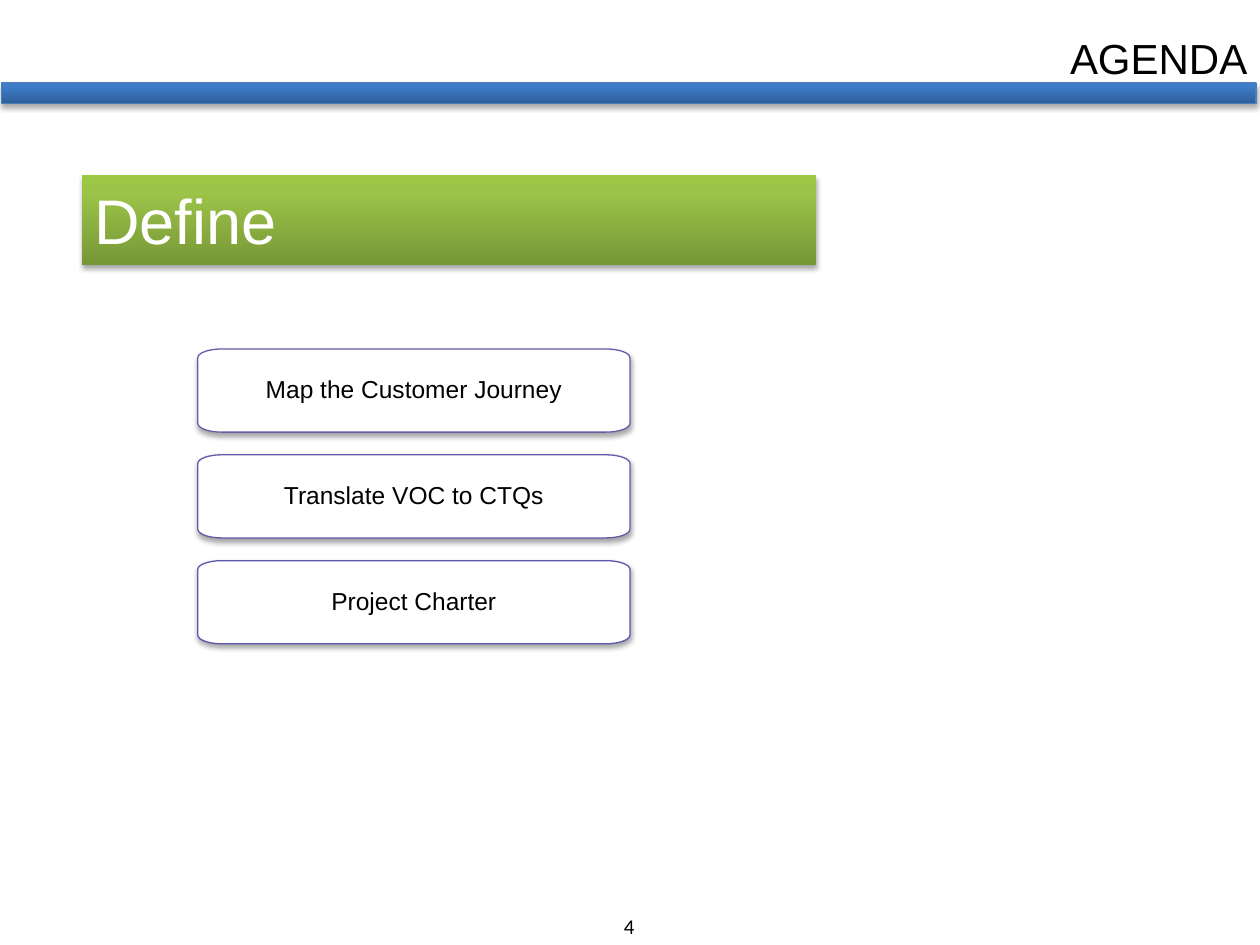
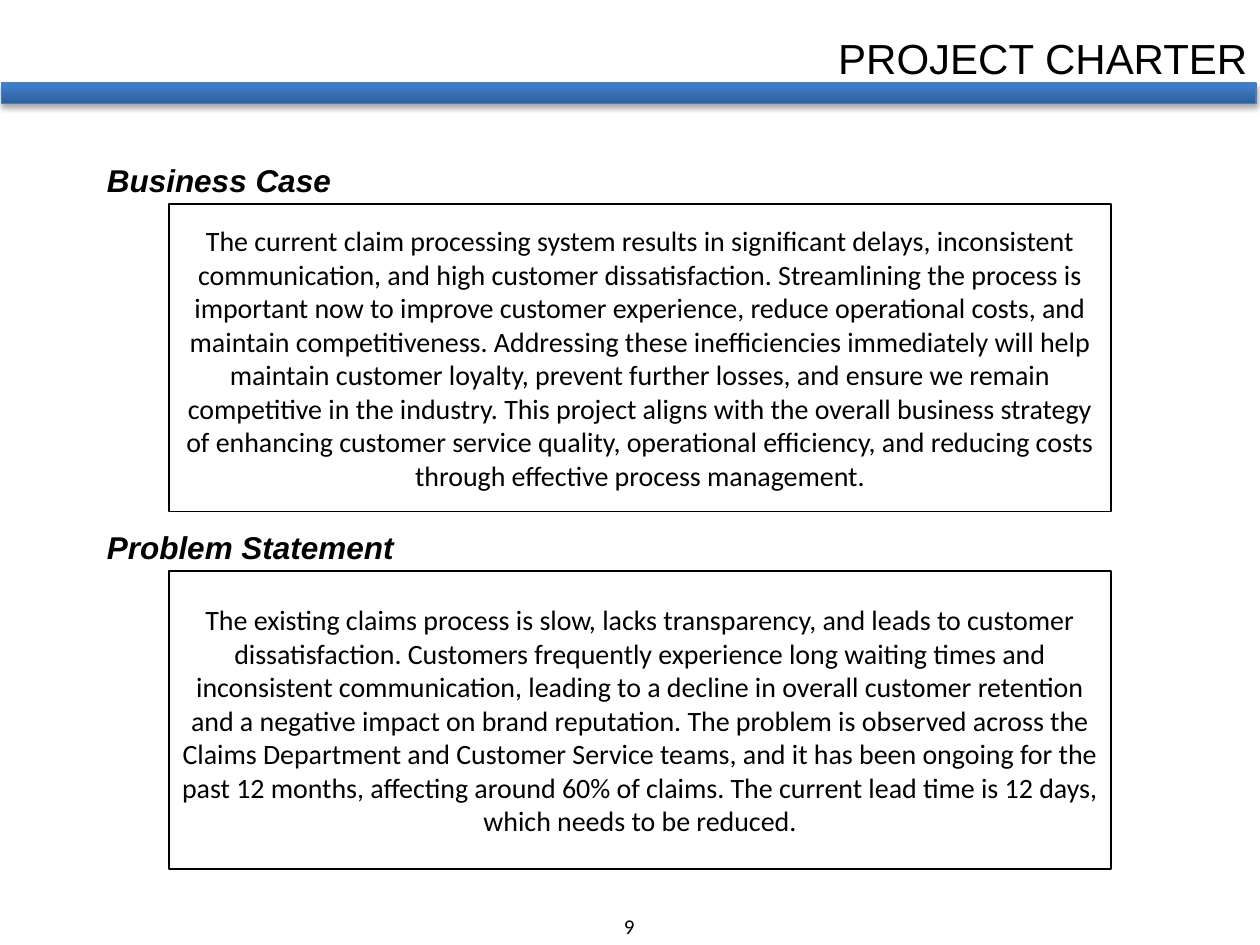
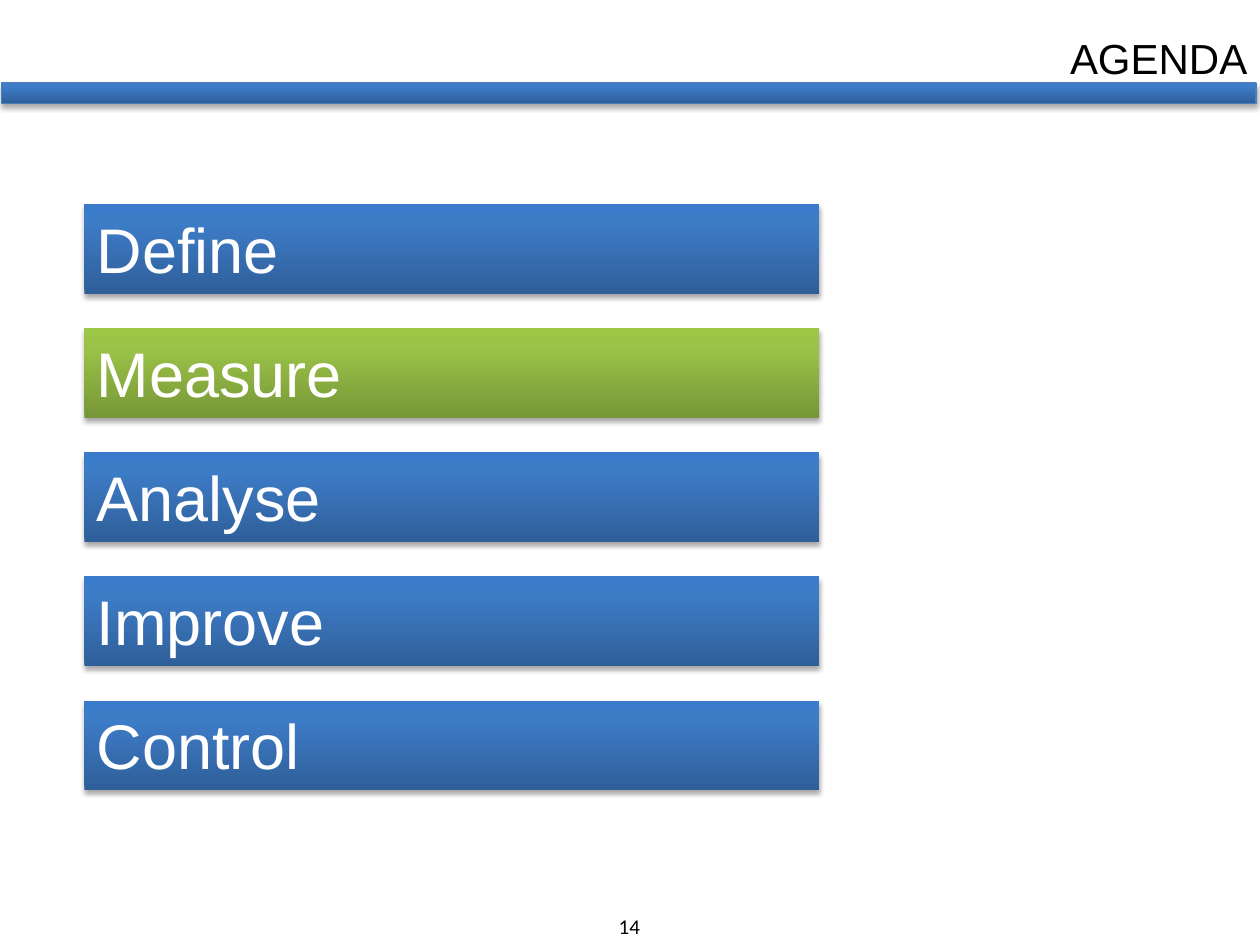
from copy import deepcopy

from lxml.etree import SubElement
from pptx import Presentation
from pptx.dml.color import RGBColor
from pptx.enum.shapes import MSO_SHAPE as Preset
from pptx.enum.text import MSO_ANCHOR as Anchor, MSO_AUTO_SIZE as AutoSize, PP_ALIGN as Align
from pptx.oxml.ns import qn
from pptx.util import Inches, Pt

COLORS = {"text": "000000", "white": "FFFFFF", "band_line": "4B7EBC"}
GRADIENTS = {
    "blue": [(0, "2F5F99"), (0.8, "3D7CC7"), (1, "3A7CCB")],
    "green": [(0, "779737"), (0.8, "9BC348"), (1, "9DC746")],
}
TITLE_FONT = "Arial"
BODY_FONT = "Calibri"
TITLE_ONLY = 5
ARC_PULL = 0.55

STAGES = ["Define", "Measure", "Analyse", "Improve", "Control"]
FIRST_STAGE_TOP, LAST_STAGE_TOP = 1.62, 5.56
DEFINE_STEPS = [
    ("Map the Customer Journey", "695BA8"),
    ("Translate VOC to CTQs", "6459A9"),
    ("Project Charter", "5B57AC"),
]
FIRST_STEP_TOP, STEP_PITCH = 2.77, 0.84

BUSINESS_CASE = (
    "The current claim processing system results in significant delays, inconsistent "
    "communication, and high customer dissatisfaction. Streamlining the process is "
    "important now to improve customer experience, reduce operational costs, and "
    "maintain competitiveness. Addressing these inefficiencies immediately will help "
    "maintain customer loyalty, prevent further losses, and ensure we remain "
    "competitive in the industry. This project aligns with the overall business strategy "
    "of enhancing customer service quality, operational efficiency, and reducing costs "
    "through effective process management."
)
PROBLEM_STATEMENT = (
    "The existing claims process is slow, lacks transparency, and leads to customer "
    "dissatisfaction. Customers frequently experience long waiting times and "
    "inconsistent communication, leading to a decline in overall customer retention "
    "and a negative impact on brand reputation. The problem is observed across the "
    "Claims Department and Customer Service teams, and it has been ongoing for the "
    "past 12 months, affecting around 60% of claims. The current lead time is 12 days, "
    "which needs to be reduced."
)


def rgb(hex_color):
    return RGBColor.from_string(hex_color)


def write(shape, text, size, font=TITLE_FONT, color="text", align=Align.LEFT, anchor=Anchor.TOP):
    """Put one formatted paragraph in the shape and return it."""
    frame = shape.text_frame
    frame.text = text
    frame.word_wrap = True
    frame.auto_size = AutoSize.NONE
    frame.vertical_anchor = anchor
    paragraph = frame.paragraphs[0]
    paragraph.alignment = align
    paragraph.font.size = Pt(size)
    paragraph.font.name = font
    paragraph.font.color.rgb = rgb(COLORS[color])
    return paragraph


def set_gradient(shape, stops):
    """Fill the shape with stops running from bottom to top."""
    shape.fill.gradient()
    shape.fill.gradient_angle = 90
    stop_list = shape._element.spPr.find(f".//{qn('a:gsLst')}")
    stop_list.append(deepcopy(stop_list[-1]))
    for stop, (position, color) in zip(shape.fill.gradient_stops, stops):
        stop.position = position
        stop.color.rgb = rgb(color)


def set_shadow(shape):
    shape.shadow.inherit = False
    effects = shape._element.spPr.find(qn("a:effectLst"))
    shadow = SubElement(effects, qn("a:outerShdw"), blurRad=str(Pt(3.1)), dist=str(Pt(1.8)),
                        dir="5400000", rotWithShape="0")
    black = SubElement(shadow, qn("a:srgbClr"), val="000000")
    SubElement(black, qn("a:alpha"), val="35000")


def set_outline(shape, color, width):
    shape.line.color.rgb = rgb(color)
    shape.line.width = Pt(width)


def add_rectangle(parent, left, top, width, height):
    return parent.shapes.add_shape(Preset.RECTANGLE, Inches(left), Inches(top),
                                   Inches(width), Inches(height))


def add_text(parent, text, left, top, width, height, size, **style):
    box = parent.shapes.add_textbox(Inches(left), Inches(top), Inches(width), Inches(height))
    return write(box, text, size, **style)


def add_content_slide(prs, title, number):
    """Add a slide with the shared title, band and page number."""
    slide = prs.slides.add_slide(prs.slide_layouts[TITLE_ONLY])
    heading = slide.shapes.title
    heading.left, heading.top = Inches(4.84), Inches(0.21)
    heading.width, heading.height = Inches(5.16), Inches(0.5)
    write(heading, title, 24, align=Align.RIGHT)

    band = add_rectangle(slide, 0.01, 0.66, 9.96, 0.16)
    set_gradient(band, GRADIENTS["blue"])
    set_outline(band, COLORS["band_line"], 0.75)
    set_shadow(band)

    add_text(slide, str(number), 4.68, 7.2, 0.63, 0.3, 12, font=BODY_FONT, align=Align.CENTER)
    return slide


def add_stage(slide, name, left, top, gradient):
    stage = add_rectangle(slide, left, top, 5.83, 0.71)
    set_gradient(stage, GRADIENTS[gradient])
    stage.line.fill.background()
    set_shadow(stage)
    write(stage, name, 36, color="white")


def round_corners(shape):
    """Turn each entry, corner, exit triple of the outline into one curve."""
    outline = shape._element.spPr.find(f".//{qn('a:path')}")
    segments = list(outline)[:-1]
    points = [(int(segment[0].get("x")), int(segment[0].get("y"))) for segment in segments]
    for entry in range(0, len(points), 3):
        corner, exit_point = points[entry + 1], points[entry + 2]
        controls = [[round(a + ARC_PULL * (c - a)) for a, c in zip(end, corner)]
                    for end in (points[entry], exit_point)]
        curve = SubElement(outline, qn("a:cubicBezTo"))
        for x, y in [*controls, exit_point]:
            SubElement(curve, qn("a:pt"), x=str(x), y=str(y))
        outline.replace(segments[entry + 1], curve)
        outline.remove(segments[entry + 2])


def add_oval_cornered(parent, left, top, width, height, radius_x, radius_y):
    """Add a box whose corners are quarter ellipses."""
    right, bottom = left + width, top + height
    near_x, far_x = left + radius_x, right - radius_x
    near_y, far_y = top + radius_y, bottom - radius_y
    points = [
        (left, near_y), (left, top), (near_x, top),
        (far_x, top), (right, top), (right, near_y),
        (right, far_y), (right, bottom), (far_x, bottom),
        (near_x, bottom), (left, bottom), (left, far_y),
    ]
    start, *others = [(Inches(x), Inches(y)) for x, y in points]
    outline = parent.shapes.build_freeform(*start)
    outline.add_line_segments(others, close=True)
    box = outline.convert_to_shape()
    round_corners(box)
    return box


def add_step(parent, name, top, line_color):
    step = add_oval_cornered(parent, 1.57, top, 3.43, 0.66, 0.19, 0.07)
    step.fill.solid()
    step.fill.fore_color.rgb = rgb(COLORS["white"])
    set_outline(step, line_color, 0.75)
    set_shadow(step)
    label = write(step, name, 14, align=Align.CENTER, anchor=Anchor.MIDDLE)
    label.line_spacing = 0.9
    frame = step.text_frame
    frame.margin_left = frame.margin_right = Inches(0.05)
    frame.margin_top = frame.margin_bottom = Inches(0.04)


def add_charter_section(slide, heading, statement, top, height):
    """Add a framed statement grouped with its heading just above it."""
    section = slide.shapes.add_group_shape()
    frame = add_rectangle(section, 1.34, top, 7.48, height)
    frame.fill.background()
    set_outline(frame, COLORS["text"], 1)
    frame.shadow.inherit = False
    write(frame, statement, 16, font=BODY_FONT, align=Align.CENTER, anchor=Anchor.MIDDLE)
    caption = add_text(section, heading, 0.75, top - 0.39, 2.83, 0.39, 18)
    caption.font.bold = caption.font.italic = True


def main():
    prs = Presentation()
    prs.slide_width, prs.slide_height = Inches(10), Inches(7.5)

    define = add_content_slide(prs, "AGENDA", 4)
    add_stage(define, "Define", 0.65, 1.39, "green")
    steps = define.shapes.add_group_shape()
    for row, (name, line_color) in enumerate(DEFINE_STEPS):
        add_step(steps, name, FIRST_STEP_TOP + row * STEP_PITCH, line_color)

    charter = add_content_slide(prs, "PROJECT CHARTER", 9)
    add_charter_section(charter, "Business Case", BUSINESS_CASE, 1.62, 2.44)
    add_charter_section(charter, "Problem Statement", PROBLEM_STATEMENT, 4.53, 2.37)

    agenda = add_content_slide(prs, "AGENDA", 14)
    stage_pitch = (LAST_STAGE_TOP - FIRST_STAGE_TOP) / (len(STAGES) - 1)
    for row, name in enumerate(STAGES):
        gradient = "green" if name == "Measure" else "blue"
        add_stage(agenda, name, 0.67, FIRST_STAGE_TOP + row * stage_pitch, gradient)

    prs.save("out.pptx")


if __name__ == "__main__":
    main()
